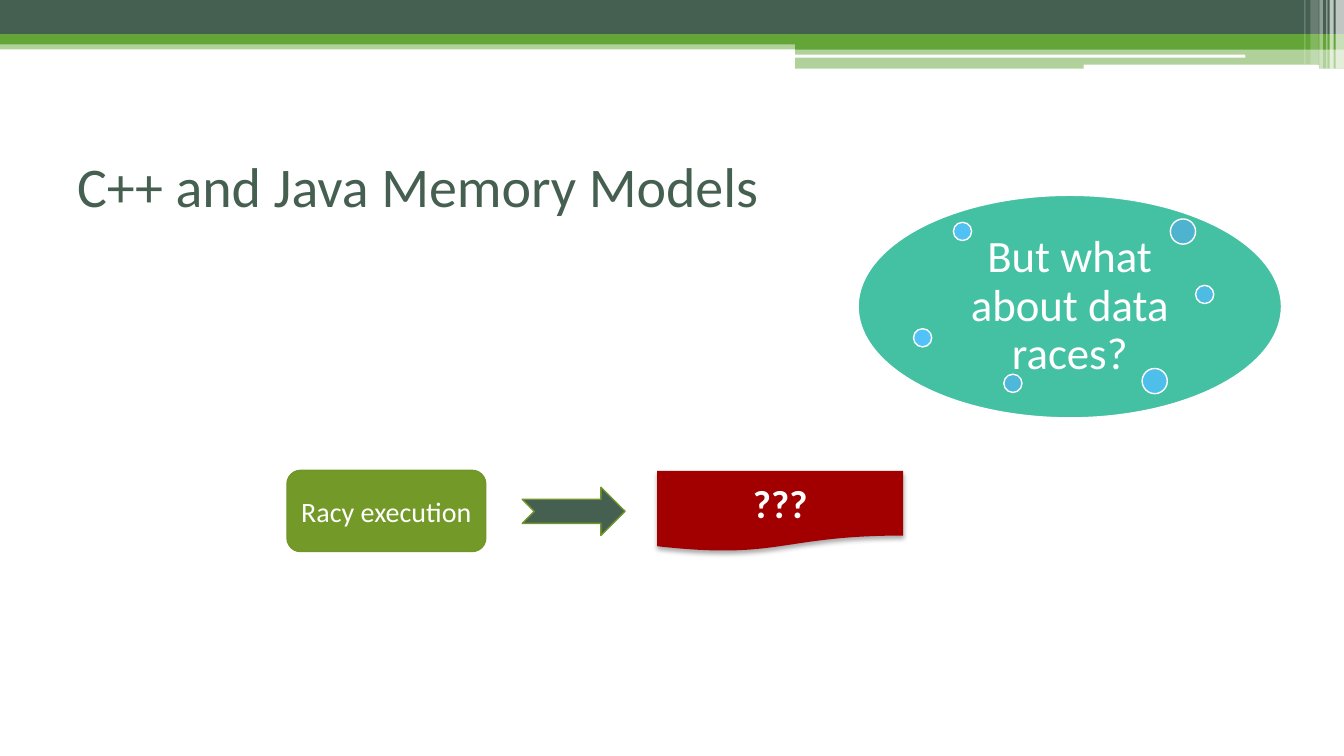
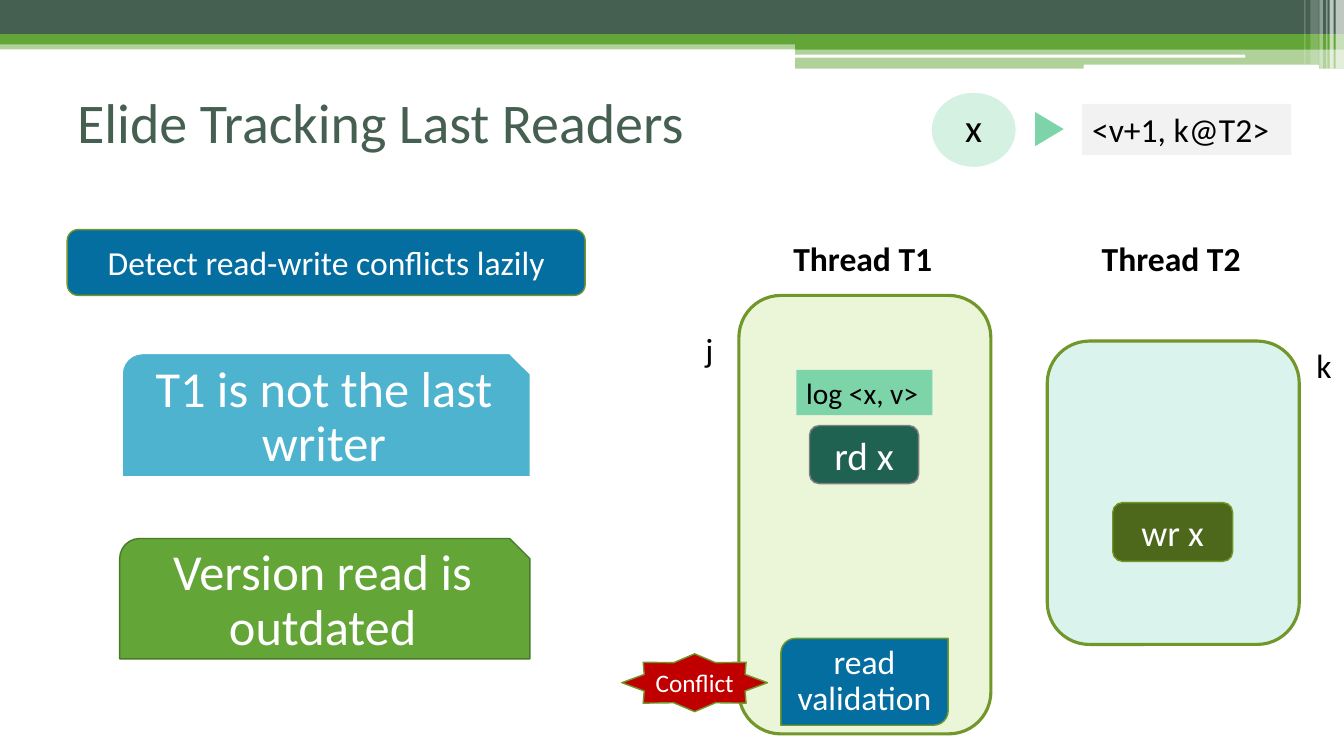
from lxml import etree
from pptx import Presentation
from pptx.dml.color import RGBColor
from pptx.enum import shapes, text
from pptx.oxml.ns import qn
from pptx.util import Pt

KIND = shapes.MSO_SHAPE
ALIGN = text.PP_ALIGN
ANCHOR = text.MSO_ANCHOR
COLORS = {
    "pine": "455F51", "green": "63A537", "white": "FFFFFF", "black": "000000",
    "olive": "739A28", "olive_line": "719629", "dark_olive": "4D671B",
    "green_line": "497A29", "crimson": "A20000", "red": "C00000",
    "teal": "44C1A3", "dark_teal": "206252", "blue": "056EA0", "sky": "4EB3CF",
    "lime_tint": "EBF5D7", "teal_tint": "DAF3ED", "mint": "7DD4A9",
    "mint_tint": "D4F1E2", "gray": "808080", "light_gray": "F2F2F2",
    "bubble_1": "4EB3CF", "bubble_2": "4DB8D9", "bubble_3": "4DBBE2",
    "bubble_4": "4EBEEA", "bubble_5": "4FC1F2", "bubble_6": "51C3F9",
}
FONT = "Calibri"


def draw(slide, kind, box, fill, line=None, width=1, opacity=100):
    """Add a preset shape; box is left, top, width, height in points."""
    shape = slide.shapes.add_shape(kind, *map(Pt, box))
    shape.shadow.inherit = False
    shape.fill.solid()
    shape.fill.fore_color.rgb = RGBColor.from_string(COLORS[fill])
    if opacity < 100:
        color = shape.element.xpath("./p:spPr/a:solidFill/a:srgbClr")[0]
        etree.SubElement(color, qn("a:alpha"), val=str(opacity * 1000))
    if line:
        shape.line.color.rgb = RGBColor.from_string(COLORS[line])
        shape.line.width = Pt(width)
    else:
        shape.line.fill.background()
    return shape


def write(shape, words, size=24, color="white", bold=False, align=ALIGN.CENTER,
          anchor=ANCHOR.MIDDLE, wrap=True, spacing=1.0, inset=None):
    frame = shape.text_frame
    frame.text = words
    frame.word_wrap = wrap
    frame.vertical_anchor = anchor
    if inset is not None:
        frame.margin_left = frame.margin_right = Pt(inset)
        frame.margin_top = frame.margin_bottom = Pt(inset)
    for paragraph in frame.paragraphs:
        paragraph.alignment = align
        paragraph.line_spacing = spacing
        paragraph.font.name = FONT
        paragraph.font.size = Pt(size)
        paragraph.font.bold = bold
        paragraph.font.color.rgb = RGBColor.from_string(COLORS[color])


prs = Presentation()
prs.slide_width, prs.slide_height = Pt(960), Pt(540)
blank = prs.slide_layouts[6]
models = prs.slides.add_slide(blank)
readers = prs.slides.add_slide(blank)

# Header bands, moved to the layout that both slides share
bands = [
    (KIND.RECTANGLE, (0, 28.8, 960, 6.5), "green", 50),
    (KIND.RECTANGLE, (0, 0, 960, 24.5), "pine", 100),
    (KIND.RECTANGLE, (0, 24.5, 960, 7.2), "green", 100),
    (KIND.RECTANGLE, (568, 28.3, 392, 7.2), "green", 100),
    (KIND.RECTANGLE, (568, 35.3, 392, 13.7), "green", 50),
    (KIND.ROUNDED_RECTANGLE, (567.5, 39, 322, 2.2), "white", 100),
    (KIND.ROUNDED_RECTANGLE, (774, 46.2, 168, 3.5), "white", 100),
]
stripes = [(954, 6, 49, 65), (949.7, 3, 49, 65), (947.5, 0.7, 49, 60),
           (942.5, 2.5, 49, 40), (936, 6, 46, 20), (931.7, 0.7, 46, 30)]
for left, width, height, opacity in stripes:
    bands.append((KIND.RECTANGLE, (left, 0, width, height), "white", opacity))
for kind, box, fill, opacity in bands:
    band = draw(models, kind, box, fill, opacity=opacity)
    blank.shapes.element.append(band.element)

# Titles
for slide, top, words in [(models, 90, "C++ and Java Memory Models"),
                          (readers, 44.6, "Elide Tracking Last Readers")]:
    title = slide.shapes.add_textbox(Pt(48), Pt(top), Pt(864), Pt(84))
    write(title, words, size=40, color="pine", align=ALIGN.LEFT)

# Slide 1: racy execution and its unknown outcome
execution = draw(models, KIND.ROUNDED_RECTANGLE, (205, 336, 142, 58), "olive", "olive_line")
write(execution, "Racy execution", size=20)
draw(models, KIND.NOTCHED_RIGHT_ARROW, (373, 348, 73.5, 34.5), "pine", "olive_line")
outcome = draw(models, KIND.FLOWCHART_DOCUMENT, (469.4, 336.4, 175.8, 57.6), "crimson")
write(outcome, "???", size=28, bold=True)
effects = outcome.element.spPr.find(qn("a:effectLst"))
shadow = etree.SubElement(effects, qn("a:outerShdw"), blurRad=str(Pt(3.5)),
                          dist=str(Pt(2.2)), dir="5400000", rotWithShape="0")
shade = etree.SubElement(shadow, qn("a:srgbClr"), val=COLORS["black"])
etree.SubElement(shade, qn("a:alpha"), val="32000")

question = draw(models, KIND.OVAL, (613, 139.5, 302.4, 159), "teal", "white")
write(question, "But what about data races?", size=32, spacing=0.9, inset=9.4)
bubbles = [(836, 156.4, 18), (717, 267.3, 13), (854, 203.8, 13),
           (815.8, 263.2, 18), (681, 158.8, 13), (652.5, 234.8, 13)]
for number, (left, top, size) in enumerate(bubbles, 1):
    draw(models, KIND.OVAL, (left, top, size, size), f"bubble_{number}", "white")

# Slide 2: the two threads
threads = [("Thread T1", 527.8, 211, 313.2, "lime_tint"),
           ("Thread T2", 748.1, 243.6, 216.7, "teal_tint")]
for name, left, top, height, fill in threads:
    draw(readers, KIND.ROUNDED_RECTANGLE, (left, top, 180, height), fill, "olive_line", 2.25)
    heading = readers.shapes.add_textbox(Pt(left - 1.5), Pt(166.3), Pt(180), Pt(36))
    write(heading, name, color="black", bold=True, anchor=ANCHOR.TOP)

# Slide 2: labelled steps, findings and operations
steps = [
    (KIND.ROUNDED_RECTANGLE, (578.2, 304, 78, 41.5), "dark_teal", "gray", 1,
     "rd x", {"size": 28}),
    (KIND.ROUNDED_RECTANGLE, (48, 164, 370, 47), "blue", "olive_line", 1,
     "Detect read-write conflicts lazily", {}),
    (KIND.ROUND_2_DIAG_RECTANGLE, (557.8, 456, 119.5, 62), "blue", "olive_line", 1,
     "read\nvalidation", {"spacing": 0.9, "inset": 0}),
    (KIND.SNIP_ROUND_RECTANGLE, (87, 252.3, 292, 88.5), "sky", "white", 1.5,
     "T1 is not the last writer", {"size": 36, "spacing": 0.9, "inset": 0}),
    (KIND.SNIP_ROUND_RECTANGLE, (85.5, 384.7, 293, 86), "green", "green_line", 1,
     "Version read is\noutdated", {"size": 36, "spacing": 0.9, "inset": 0}),
    (KIND.STAR_8_POINT, (444.2, 467, 104, 41.3), "red", "olive_line", 1,
     "Conflict", {"size": 18}),
    (KIND.ROUNDED_RECTANGLE, (794.8, 359, 85.7, 42), "dark_olive", "olive_line", 1,
     "wr x", {"size": 26}),
]
for kind, box, fill, line, width, words, style in steps:
    write(draw(readers, kind, box, fill, line, width), words, **style)

for clock, left, top in [("j", 496.8, 231.1), ("k", 933.1, 242.6)]:
    label = readers.shapes.add_textbox(Pt(left), Pt(top), Pt(24), Pt(36))
    write(label, clock, color="black", align=ALIGN.LEFT, anchor=ANCHOR.TOP, wrap=False)

# Slide 2: variable x, its version, and the read log
variable = draw(readers, KIND.OVAL, (665, 65.7, 61, 54), "mint_tint", "white")
write(variable, "x", size=28, color="black", spacing=0.9, inset=2.8)
pointer = draw(readers, KIND.ISOSCELES_TRIANGLE, (737.3, 82, 24.5, 20.5), "mint")
pointer.rotation = 90
for box, fill, words, size in [
        ((773, 74.2, 149.5, 36.4), "light_gray", "<v+1, k@T2>", 24),
        ((568.8, 264.2, 97.2, 32.4), "mint", "log <x, v>", 21)]:
    record = draw(readers, KIND.RECTANGLE, box, fill)
    write(record, words, size=size, color="black", align=ALIGN.LEFT, anchor=ANCHOR.TOP)

prs.save("out.pptx")
